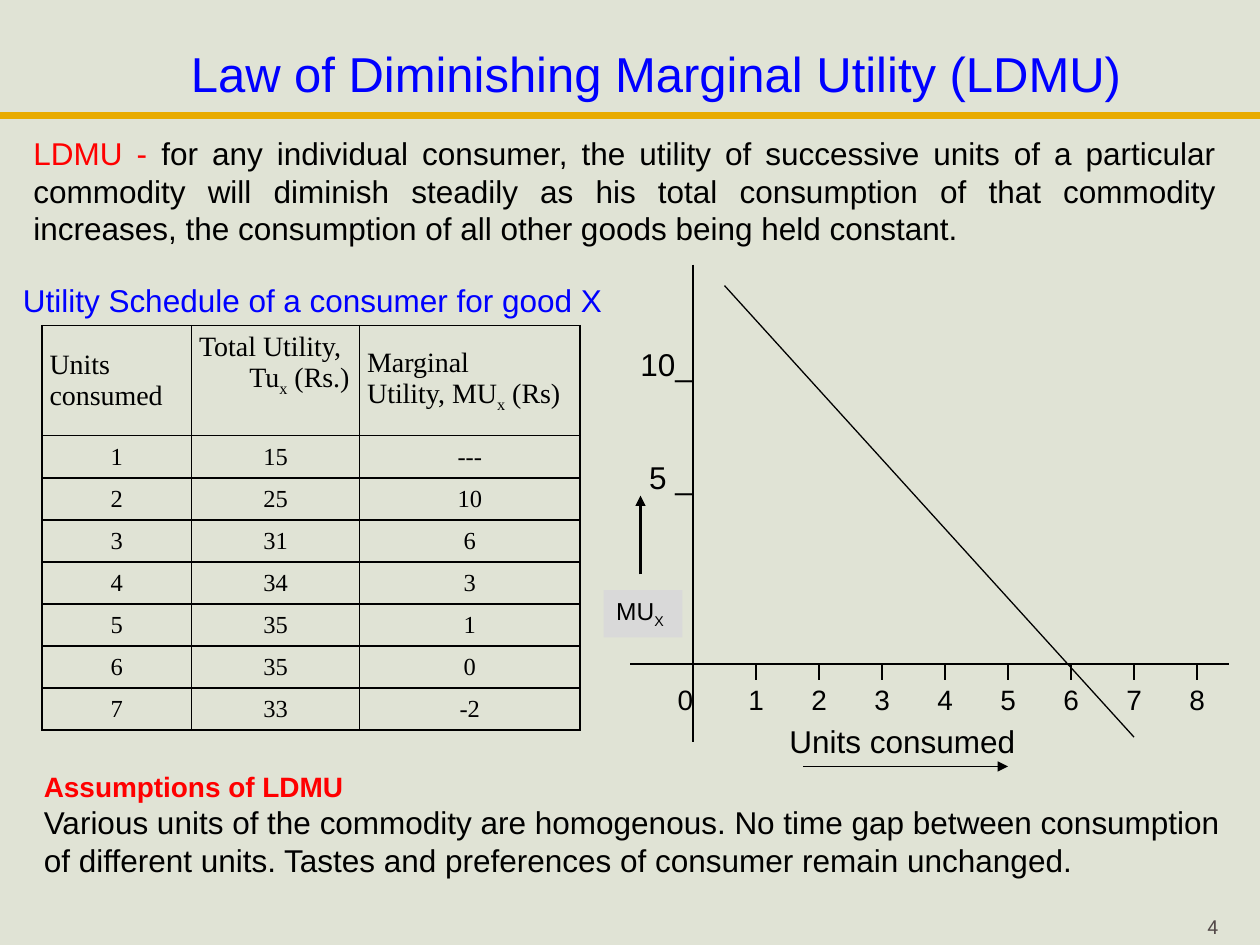
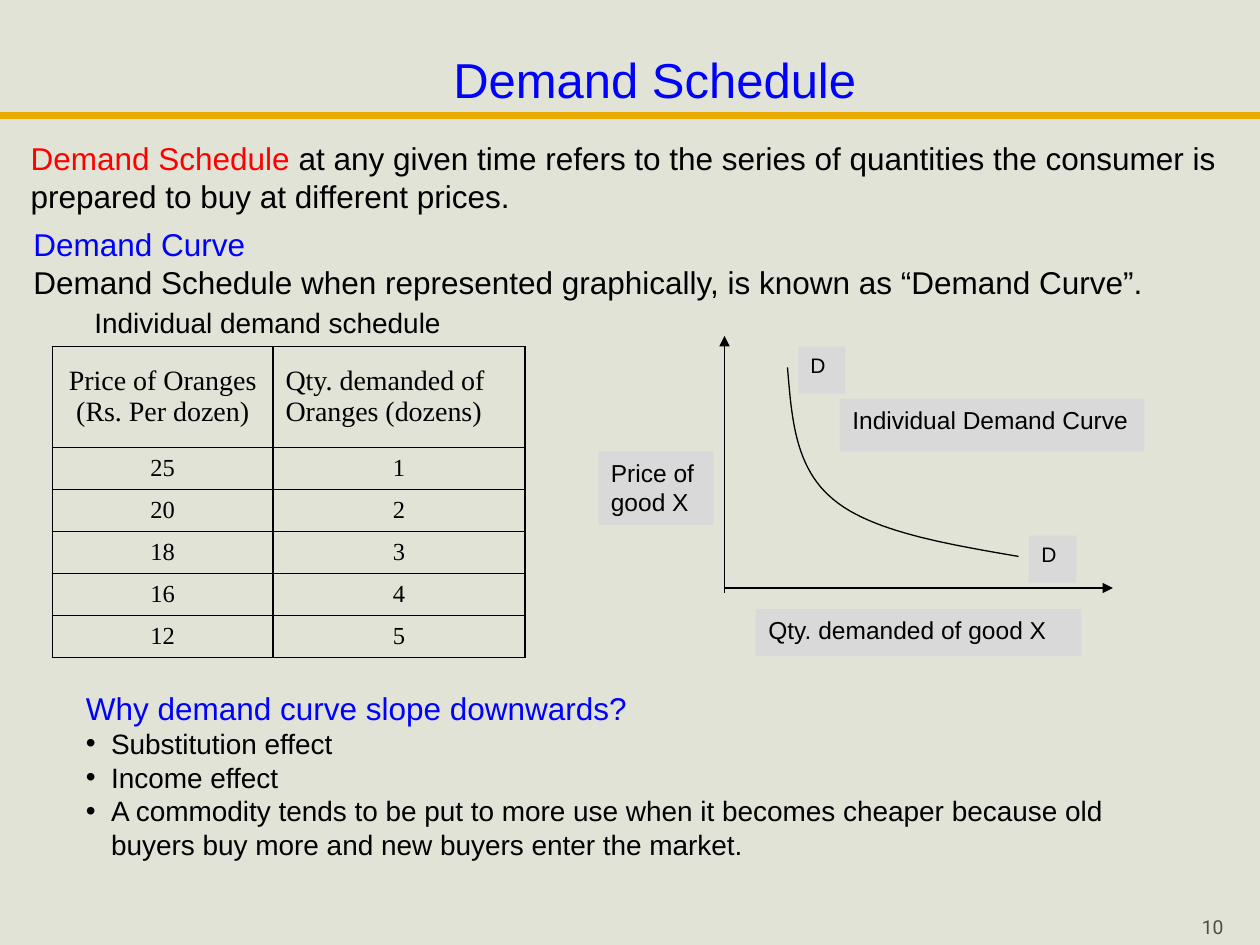
from dataclasses import dataclass, replace

from lxml.etree import SubElement
from pptx import Presentation
from pptx.dml.color import RGBColor
from pptx.enum.shapes import MSO_CONNECTOR, MSO_SHAPE
from pptx.enum.text import MSO_ANCHOR, PP_ALIGN
from pptx.oxml.ns import qn
from pptx.util import Emu, Inches, Pt

COLORS = {
    "background": "E0E3D5", "band": "E8AB00", "label": "D9D9D9", "number": "534949",
    "blue": "0000FF", "red": "FF0000", "black": "000000",
}
COLUMNS, ROWS = 120, 90
SLIDE_WIDTH, SLIDE_HEIGHT = Inches(10), Inches(7.5)
BODY_FONT, TABLE_FONT = "Arial", "Times New Roman"
TEXT_INSETS = (0.1, 0.05, 0.1, 0.05)


@dataclass
class Box:
    """A region of the slide, in columns and rows of the grid."""
    left: float
    top: float
    width: float
    height: float

    def inner(self, left, top, width, height):
        return Box(self.left + left, self.top + top, width, height)

    def point(self, column, row):
        return (Emu(int((self.left + column) * SLIDE_WIDTH / COLUMNS)),
                Emu(int((self.top + row) * SLIDE_HEIGHT / ROWS)))

    def frame(self):
        return (*self.point(0, 0), *Box(0, 0, 0, 0).point(self.width, self.height))


@dataclass
class Line:
    """One paragraph; each run is a text, or a text with its colour or "sub"."""
    runs: tuple
    size: float = 18
    color: str = "black"
    font: str = BODY_FONT
    bold: bool = False
    align: PP_ALIGN = PP_ALIGN.LEFT
    space_before: float = 0
    bullet: bool = False
    tabs: tuple = ()


def rgb(name):
    return RGBColor.from_string(COLORS[name])


def add_bullet(properties):
    indent = Inches(0.2)
    properties.set("marL", str(indent))
    properties.set("indent", str(-indent))
    SubElement(properties, qn("a:buFont"), typeface=BODY_FONT)
    SubElement(properties, qn("a:buChar"), char="•")


def add_center_tabs(properties, positions):
    tab_list = SubElement(properties, qn("a:tabLst"))
    for position in positions:
        SubElement(tab_list, qn("a:tab"), pos=str(Inches(position)), algn="ctr")


def write_lines(text_frame, lines):
    for index, line in enumerate(lines):
        paragraph = text_frame.add_paragraph() if index else text_frame.paragraphs[0]
        paragraph.alignment = line.align
        if line.space_before:
            paragraph.space_before = Pt(line.space_before)
        properties = paragraph._p.get_or_add_pPr()
        if line.bullet:
            add_bullet(properties)
        if line.tabs:
            add_center_tabs(properties, line.tabs)
        paragraph.font.name = line.font
        paragraph.font.size = Pt(line.size)
        paragraph.font.bold = line.bold
        colors_agree = all(isinstance(item, str) or item[1] == "sub" for item in line.runs)
        if colors_agree:
            paragraph.font.color.rgb = rgb(line.color)
        for item in line.runs:
            text, style = (item, line.color) if isinstance(item, str) else item
            run = paragraph.add_run()
            run.text = text
            if style == "sub":
                run.font._element.set("baseline", "-25000")
            elif not colors_agree:
                run.font.color.rgb = rgb(style)


def set_insets(target, insets):
    target.margin_left, target.margin_top, target.margin_right, target.margin_bottom = map(
        Inches, insets)


def add_text(slide, box, *lines, insets=TEXT_INSETS):
    text_frame = slide.shapes.add_textbox(*box.frame()).text_frame
    text_frame.word_wrap = True
    text_frame.vertical_anchor = MSO_ANCHOR.MIDDLE
    set_insets(text_frame, insets)
    write_lines(text_frame, lines)


def add_label(slide, box, *runs, size=14):
    shape = slide.shapes.add_shape(MSO_SHAPE.RECTANGLE, *box.frame())
    shape.shadow.inherit = False
    shape.fill.solid()
    shape.fill.fore_color.rgb = rgb("label")
    shape.line.fill.background()
    shape.text_frame.word_wrap = True
    shape.text_frame.vertical_anchor = MSO_ANCHOR.TOP
    write_lines(shape.text_frame, [Line(runs, size)])


def add_line(slide, box, start, end, width=0.75, color="black", arrow=False):
    connector = slide.shapes.add_connector(
        MSO_CONNECTOR.STRAIGHT, *box.point(*start), *box.point(*end))
    connector.line.color.rgb = rgb(color)
    connector.line.width = Pt(width)
    if arrow:
        SubElement(connector.line._get_or_add_ln(), qn("a:tailEnd"), type="triangle")
    SubElement(connector._element.spPr, qn("a:effectLst"))


def border_cell(cell):
    properties = cell._tc.get_or_add_tcPr()
    for index, side in enumerate(("a:lnL", "a:lnR", "a:lnT", "a:lnB")):
        border = properties.makeelement(qn(side), {"w": str(Pt(1))})
        fill = SubElement(border, qn("a:solidFill"))
        SubElement(fill, qn("a:srgbClr"), val=COLORS["black"])
        properties.insert(index, border)


def add_schedule(slide, box, column_widths, header_height, headers, rows, header_insets):
    """Fill the box with a bordered table; each header is a list of lines."""
    table = slide.shapes.add_table(len(rows) + 1, len(headers), *box.frame()).table
    table.first_row = table.horz_banding = False
    for column, width in zip(table.columns, column_widths):
        column.width = Box(0, 0, width, 0).frame()[2]
    row_heights = [header_height] + [(box.height - header_height) / len(rows)] * len(rows)
    for row, height in zip(table.rows, row_heights):
        row.height = Box(0, 0, 0, height).frame()[3]
    values = [[[Line((value,), 14, align=PP_ALIGN.CENTER)] for value in row] for row in rows]
    for row_index, row in enumerate([headers, *values]):
        for column_index, lines in enumerate(row):
            cell = table.cell(row_index, column_index)
            cell.fill.background()
            border_cell(cell)
            cell.vertical_anchor = MSO_ANCHOR.MIDDLE
            set_insets(cell, TEXT_INSETS if row_index else header_insets[column_index])
            write_lines(cell.text_frame, [replace(line, font=TABLE_FONT) for line in lines])


def start_slide(presentation, title, title_box, number):
    """Add a slide with the shared background, band, title and number."""
    slide = presentation.slides.add_slide(presentation.slide_layouts[6])
    slide.background.fill.solid()
    slide.background.fill.fore_color.rgb = rgb("background")
    add_line(slide, Box(0, 11, COLUMNS, 0), (0, 0), (COLUMNS, 0), 4.5, "band")
    add_text(slide, Box(113, 87, 5, 2.6),
             Line((number,), 11, "number", "Roboto", align=PP_ALIGN.CENTER), insets=(0,) * 4)
    add_text(slide, title_box, Line((title,), 28, "blue"))
    return slide


def add_marginal_utility_graph(slide, box):
    axis_column, axis_row, tick_step = 9, 38.25, 6
    ticks = [axis_column + tick_step * unit for unit in range(1, 9)]
    add_label(slide, box.inner(0.5, 31.2, 7.5, 4.5), "MU", ("X", "sub"))
    add_line(slide, box, (axis_column, 0.2), (axis_column, 45.7))
    add_line(slide, box, (3, axis_row), (60, axis_row))
    for column in ticks:
        add_line(slide, box, (column, axis_row), (column, axis_row + 1.5))
    add_line(slide, box, (axis_column, 30.7), (axis_column, 32.2))
    add_line(slide, box, (12, 2.2), (51, 45.2))
    add_line(slide, box, (4, 29.7), (4, 22.2), 1.75, arrow=True)
    add_line(slide, box, (19.5, 48), (39, 48), arrow=True)
    tabs = (0.34, *(0.4 + 0.5 * unit for unit in range(1, 9)))
    numbers = "".join(f"\t{unit}" for unit in range(9))
    add_text(slide, box.inner(4.2, 39.2, 56, 4.8), Line((numbers,), 16, tabs=tabs),
             insets=(0, 0.05, 0, 0.05))
    add_text(slide, box.inner(17, 43.2, 28.4, 4.8), Line(("Units consumed",),))
    add_text(slide, box.inner(2, 7.2, 7, 15.7),
             Line(("10_",), align=PP_ALIGN.RIGHT),
             Line(("5 _",), align=PP_ALIGN.RIGHT, space_before=43),
             insets=(0, 0.05, 0, 0.05))


def bezier_points(start, first, second, end, steps=24):
    for step in range(1, steps + 1):
        share = step / steps
        rest = 1 - share
        yield tuple(
            rest ** 3 * a + 3 * rest ** 2 * share * b + 3 * rest * share ** 2 * c + share ** 3 * d
            for a, b, c, d in zip(start, first, second, end))


def add_demand_curve(slide, box):
    add_line(slide, box, (12, 24.5), (12, 0), arrow=True)
    start, bend, end = (18, 3), (22.4, 15.6), (40, 21)
    points = [*bezier_points(start, (18.4, 7.8), (18.7, 12.6), bend),
              *bezier_points(bend, (26, 18.6), (33, 19.8), end)]
    builder = slide.shapes.build_freeform(*box.point(*start))
    builder.add_line_segments([box.point(*point) for point in points], close=False)
    curve = builder.convert_to_shape()
    curve.shadow.inherit = False
    curve.fill.background()
    curve.line.color.rgb = rgb("black")
    curve.line.width = Pt(0.75)
    add_label(slide, box.inner(0, 11, 11, 7), "Price of good X")
    add_label(slide, box.inner(15, 26, 31, 4.5), "Qty. demanded of good X")
    for column, row in ((19, 1), (41, 19)):
        add_label(slide, box.inner(column, row, 4.5, 4.5), "D", size=12)
    add_label(slide, box.inner(23, 6, 29, 5), "Individual Demand Curve")
    add_line(slide, box, (12, 24), (49, 24), arrow=True)


def build_utility_slide(presentation):
    slide = start_slide(presentation, "Law of Diminishing Marginal Utility (LDMU)",
                        Box(17, 3.5, 96, 6.8), "4")
    add_text(slide, Box(2, 12.1, 115, 12.1), Line((
        ("LDMU - ", "red"),
        ("for any individual consumer, the utility of successive units of a particular "
         "commodity will diminish steadily as his total consumption of that commodity "
         "increases, the consumption of all other goods being held constant.", "black"),
    ), align=PP_ALIGN.JUSTIFY))
    add_text(slide, Box(1, 26.2, 59, 4.8),
             Line(("Utility Schedule of a consumer for good X",), color="blue"))
    headers = [
        [Line(("Units",), 16), Line(("consumed",), 16)],
        [Line(("Total Utility,",), 16),
         Line(("Tu", ("x", "sub"), " (Rs.)"), 16, align=PP_ALIGN.RIGHT)],
        [Line(("Marginal",), 16), Line(("Utility, MU", ("x", "sub"), " (Rs)"), 16)],
    ]
    rows = [("1", "15", "---"), ("2", "25", "10"), ("3", "31", "6"), ("4", "34", "3"),
            ("5", "35", "1"), ("6", "35", "0"), ("7", "33", "-2")]
    add_schedule(slide, Box(4, 31, 51.25, 38.5), (14.25, 16, 21), 10.5, headers, rows,
                 [(0.06, 0, 0, 0), (0.06, 0, 0.08, 0.25), (0.06, 0, 0, 0)])
    add_text(slide, Box(3, 72.6, 115, 11.8),
             Line(("Assumptions of LDMU",), 16, "red", bold=True),
             Line(("Various units of the commodity are homogenous. No time gap between "
                   "consumption of different units. Tastes and preferences of consumer "
                   "remain unchanged.",)))
    add_marginal_utility_graph(slide, Box(57, 25, 60, 48))


def build_demand_slide(presentation):
    slide = start_slide(presentation, "Demand Schedule", Box(42, 4.1, 46, 6.8), "10")
    add_schedule(
        slide, Box(5, 33, 45, 29.6), (21, 24), 9.6,
        [[Line((text,), 16, align=PP_ALIGN.CENTER)
          for text in ("Price of Oranges", "(Rs. Per dozen)")],
         [Line(("Qty. demanded of Oranges (dozens)",), 16)]],
        [("25", "1"), ("20", "2"), ("18", "3"), ("16", "4"), ("12", "5")],
        [TEXT_INSETS] * 2)
    add_text(slide, Box(1, 12.6, 118, 8.5), Line((
        ("Demand Schedule ", "red"),
        ("at any given time refers to the series of quantities the consumer is prepared "
         "to buy at different prices.", "black"),
    )), insets=(0.16, 0.05, 0.1, 0.05))
    add_text(slide, Box(2, 20.8, 110, 8.5),
             Line(("Demand Curve",), color="blue"),
             Line(("Demand Schedule when represented graphically, is known as "
                   "“Demand Curve”.",)))
    add_text(slide, Box(9, 29, 36, 3.3), Line(("Individual demand schedule",), 16),
             insets=(0,) * 4)
    reasons = ("Substitution effect", "Income effect",
               "A commodity tends to be put to more use when it becomes cheaper because old "
               "buyers buy more and new buyers enter the market.")
    add_text(slide, Box(7, 65, 104, 17.6),
             Line(("Why demand curve slope downwards?",), color="blue"),
             *(Line((reason,), 16, bullet=True) for reason in reasons))
    add_demand_curve(slide, Box(57, 32, 53, 31))


def main():
    presentation = Presentation()
    presentation.slide_width, presentation.slide_height = SLIDE_WIDTH, SLIDE_HEIGHT
    build_utility_slide(presentation)
    build_demand_slide(presentation)
    presentation.save("out.pptx")


if __name__ == "__main__":
    main()
